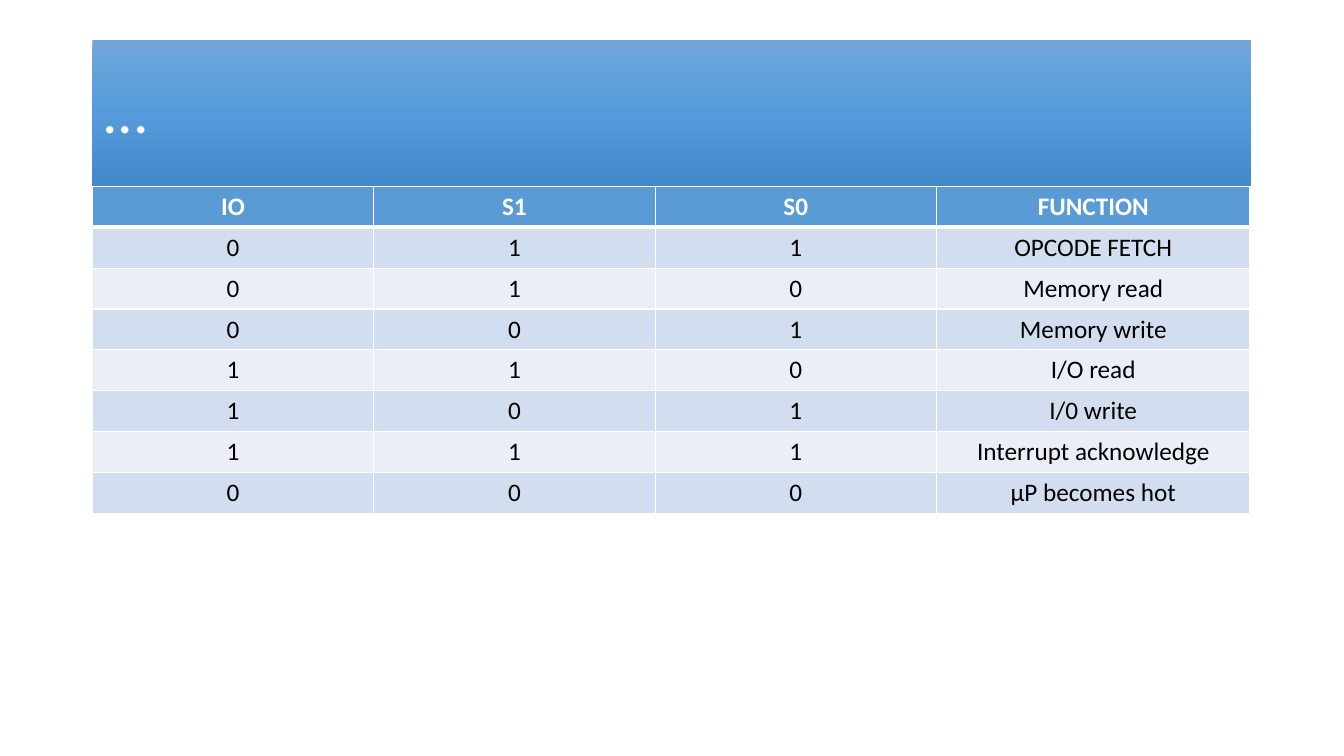
from copy import deepcopy
from dataclasses import dataclass

from lxml.etree import SubElement
from pptx import Presentation
from pptx.dml.color import RGBColor
from pptx.enum.shapes import MSO_SHAPE as Preset
from pptx.enum.text import MSO_ANCHOR as Anchor, PP_ALIGN as Align
from pptx.oxml.ns import qn
from pptx.slide import Slide
from pptx.table import _Cell as Cell
from pptx.text.text import _Paragraph as Paragraph
from pptx.util import Pt

FONT = "Calibri"
WHITE = "FFFFFF"
LEFT = 66
BANNER_TOP, BANNER_WIDTH, BANNER_HEIGHT = 28.75, 828, 104.38
BANNER_STOPS = [(0, "71A6DB"), (0.5, "559BDB"), (1, "448ACA")]
COLUMN_WIDTHS = [201, 201, 201, 224]
ROW_HEIGHT = 29.2
THIN, THICK = 1, 3
SIGNAL_ROWS = [
    ("IO", "S1", "S0", "FUNCTION"),
    ("0", "1", "1", "OPCODE FETCH"),
    ("0", "1", "0", "Memory read"),
    ("0", "0", "1", "Memory write"),
    ("1", "1", "0", "I/O read"),
    ("1", "0", "1", "I/0 write"),
    ("1", "1", "1", "Interrupt acknowledge"),
    ("0", "0", "0", "μP becomes hot"),
]


@dataclass(frozen=True)
class RowStyle:
    fill: str
    text: str = "000000"
    bold: bool = False
    top: float = THIN
    bottom: float = THIN


HEADER = RowStyle("5B9BD5", WHITE, bold=True, bottom=THICK)
FIRST = RowStyle("D2DEEF", top=THICK)
BANDS = [RowStyle("EAEFF7"), RowStyle("D2DEEF")]


def color(value: str) -> RGBColor:
    return RGBColor.from_string(value)


def format_text(paragraph: Paragraph, size: float, text_color: str, bold: bool = False) -> None:
    for run in paragraph.runs:
        run.font.name = FONT
        run.font.size = Pt(size)
        run.font.bold = bold
        run.font.color.rgb = color(text_color)


def draw_banner(slide: Slide) -> None:
    shape = slide.shapes.add_shape(
        Preset.RECTANGLE, Pt(LEFT), Pt(BANNER_TOP), Pt(BANNER_WIDTH), Pt(BANNER_HEIGHT)
    )
    shape.shadow.inherit = False
    shape.line.fill.background()
    shape.fill.gradient()
    shape.fill.gradient_angle = 270
    stop_list = next(shape.element.iter(qn("a:gsLst")))
    stop_list.append(deepcopy(stop_list[-1]))
    for stop, (position, stop_color) in zip(shape.fill.gradient_stops, BANNER_STOPS):
        stop.position = position
        stop.color.rgb = color(stop_color)
    text_frame = shape.text_frame
    text_frame.text = "..."
    text_frame.word_wrap = True
    text_frame.vertical_anchor = Anchor.MIDDLE
    paragraph = text_frame.paragraphs[0]
    paragraph.alignment = Align.LEFT
    paragraph.line_spacing = 0.9
    format_text(paragraph, 44, WHITE)


def set_borders(cell: Cell, style: RowStyle) -> None:
    properties = cell._tc.get_or_add_tcPr()
    widths = {"lnL": THIN, "lnR": THIN, "lnT": style.top, "lnB": style.bottom}
    for side, width in widths.items():
        line = SubElement(properties, qn(f"a:{side}"), w=str(Pt(width)))
        fill = SubElement(line, qn("a:solidFill"))
        SubElement(fill, qn("a:srgbClr"), val=WHITE)


def draw_cell(cell: Cell, text: str, style: RowStyle) -> None:
    set_borders(cell, style)
    cell.fill.solid()
    cell.fill.fore_color.rgb = color(style.fill)
    cell.vertical_anchor = Anchor.MIDDLE
    cell.text_frame.text = text
    paragraph = cell.text_frame.paragraphs[0]
    paragraph.alignment = Align.CENTER
    format_text(paragraph, 18, style.text, style.bold)


def row_style(index: int) -> RowStyle:
    return (HEADER, FIRST)[index] if index < 2 else BANDS[index % 2]


def draw_signal_table(slide: Slide) -> None:
    table = slide.shapes.add_table(
        len(SIGNAL_ROWS),
        len(COLUMN_WIDTHS),
        Pt(LEFT),
        Pt(BANNER_TOP + BANNER_HEIGHT),
        Pt(sum(COLUMN_WIDTHS)),
        Pt(ROW_HEIGHT * len(SIGNAL_ROWS)),
    ).table
    for column, width in zip(table.columns, COLUMN_WIDTHS):
        column.width = Pt(width)
    for index, (row, texts) in enumerate(zip(table.rows, SIGNAL_ROWS)):
        row.height = Pt(ROW_HEIGHT)
        for cell, text in zip(row.cells, texts):
            draw_cell(cell, text, row_style(index))


def main() -> None:
    presentation = Presentation()
    presentation.slide_width = Pt(960)
    presentation.slide_height = Pt(540)
    slide = presentation.slides.add_slide(presentation.slide_layouts[6])
    draw_banner(slide)
    draw_signal_table(slide)
    presentation.save("out.pptx")


if __name__ == "__main__":
    main()
